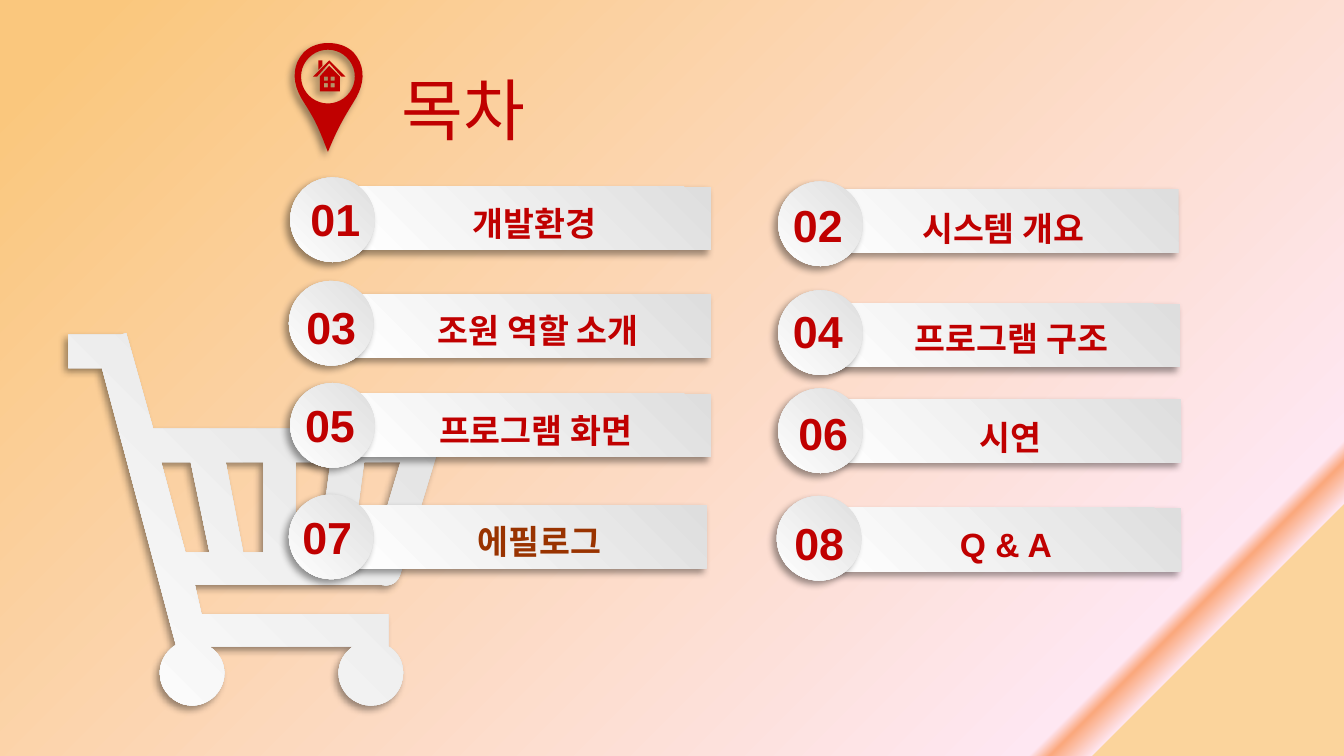
from lxml.etree import SubElement
from pptx import Presentation
from pptx.dml.color import RGBColor
from pptx.enum.shapes import MSO_SHAPE
from pptx.enum.text import MSO_ANCHOR, MSO_AUTO_SIZE, PP_ALIGN
from pptx.oxml.ns import qn
from pptx.util import Inches, Pt

THEME = {
    "red": "C00000", "brown": "993300", "shadow": "000000",
    "silver": ("DEDEDE", "FFFFFF"),
    "backdrop": [(5, "FAC77D"), (85, "FEE7F2"), (86, "FBA97D"), (88, "FEE7F2"), (88, "FBD49C")],
    "font": "Arial", "title": 36, "number": 24, "label": 18,
}
CURVE_STEPS = 10

# Contours: a pair is a corner, six values are a Bezier curve
CART = [
    [(1.42, 3.44), (1.56, 4.11), (1.38, 4.11), (1.2, 3.44)],
    [(1.96, 3.44), (1.96, 4.11), (1.81, 4.11), (1.68, 3.44)],
    [(2.46, 3.44), (2.37, 4.11), (2.2, 4.11), (2.2, 3.44)],
    [(2.98, 3.44), (2.78, 4.11), (2.62, 4.11), (2.71, 3.44)],
    [(0.94, 2.48), (0.9, 2.49), (0.51, 2.49), (0.51, 2.74), (0.76, 2.74), (1.31, 4.8),
     (1.24, 4.84, 1.19, 4.92, 1.19, 5.01), (1.19, 5.14, 1.3, 5.25, 1.43, 5.25),
     (1.56, 5.25, 1.67, 5.14, 1.67, 5.01), (1.67, 4.93, 1.63, 4.86, 1.57, 4.82),
     (1.57, 4.81), (2.63, 4.81),
     (2.57, 4.85, 2.52, 4.92, 2.52, 5.01), (2.52, 5.14, 2.63, 5.25, 2.76, 5.25),
     (2.9, 5.25, 3, 5.14, 3, 5.01), (3, 4.92, 2.96, 4.85, 2.89, 4.81),
     (2.89, 4.57), (1.5, 4.57), (1.45, 4.35), (2.83, 4.35),
     (2.9, 4.37, 2.96, 4.34, 2.98, 4.27), (3.26, 3.35),
     (3.28, 3.28, 3.25, 3.22, 3.18, 3.2), (3.16, 3.19, 3.15, 3.19, 3.14, 3.19), (1.14, 3.19)],
]
PIN = [
    [(2.44, 0.37), (2.33, 0.37, 2.24, 0.46, 2.24, 0.57), (2.24, 0.68, 2.33, 0.77, 2.44, 0.77),
     (2.55, 0.77, 2.64, 0.68, 2.64, 0.57), (2.64, 0.46, 2.55, 0.37, 2.44, 0.37)],
    [(2.44, 0.32), (2.51, 0.32, 2.58, 0.34, 2.63, 0.39), (2.73, 0.5, 2.71, 0.64, 2.63, 0.76),
     (2.55, 0.89, 2.51, 0.96, 2.44, 1.13), (2.37, 0.95, 2.35, 0.9, 2.26, 0.76),
     (2.18, 0.64, 2.16, 0.5, 2.26, 0.39), (2.31, 0.34, 2.38, 0.32, 2.44, 0.32)],
]
WINDOWS = [[(x + 0.03, y), (x + 0.03, y + 0.03), (x, y + 0.03), (x, y)]
           for y in (0.57, 0.62) for x in (2.41, 2.46)]
HOUSE = WINDOWS + [
    [(2.45, 0.49), (2.53, 0.57), (2.53, 0.68), (2.38, 0.68), (2.38, 0.57)],
    [(2.37, 0.45), (2.4, 0.45), (2.4, 0.49), (2.37, 0.52)],
    [(2.45, 0.45), (2.57, 0.57), (2.54, 0.57), (2.45, 0.47)],
    [(2.45, 0.45), (2.45, 0.47), (2.36, 0.57), (2.33, 0.57)],
]

# Label, colour, then the corners of bar, disc, number and label
ENTRIES = [
    ("개발환경", "red", (2.61, 1.39), (2.16, 1.32), (2.19, 1.38), (2.72, 1.46)),
    ("시스템 개요", "red", (6.09, 1.41), (5.79, 1.35), (5.78, 1.42), (6.21, 1.5)),
    ("조원 역할 소개", "red", (2.61, 2.19), (2.15, 2.09), (2.16, 2.18), (2.75, 2.26)),
    ("프로그램 구조", "red", (6.1, 2.26), (5.79, 2.16), (5.78, 2.21), (6.27, 2.32)),
    ("프로그램 화면", "red", (2.61, 2.93), (2.16, 2.85), (2.15, 2.91), (2.73, 3)),
    ("시연", "red", (6.11, 2.97), (5.79, 2.89), (5.82, 2.97), (6.26, 3.05)),
    ("에필로그", "brown", (2.58, 3.76), (2.15, 3.68), (2.13, 3.74), (2.76, 3.83)),
    ("Q & A", "red", (6.11, 3.78), (5.78, 3.69), (5.79, 3.79), (6.23, 3.85)),
]

# Widescreen page
deck = Presentation()
deck.slide_width, deck.slide_height = Inches(10), Inches(10 * 9 / 16)
page = deck.slides.add_slide(deck.slide_layouts[5])


def finish(shape, silver=True):
    """Fill a shape in silver or red, without a line, and give it a soft shadow."""
    if silver:
        shape.fill.gradient()
        shape.fill.gradient_angle = 225
        for stop, colour in zip(shape.fill.gradient_stops, THEME["silver"]):
            stop.color.rgb = RGBColor.from_string(colour)
    else:
        shape.fill.solid()
        shape.fill.fore_color.rgb = RGBColor.from_string(THEME["red"])
    shape.line.fill.background()
    shape.shadow.inherit = False
    effects = shape.element.spPr.find(qn("a:effectLst"))
    outer = SubElement(effects, qn("a:outerShdw"), blurRad=str(Pt(4)), dist=str(Pt(3)),
                       dir=str(135 * 60000), algn="tr", rotWithShape="0")
    colour = SubElement(outer, qn("a:srgbClr"), val=THEME["shadow"])
    SubElement(colour, qn("a:alpha"), val="40000")


def draw_outline(contours):
    """Build one freeform, with curves as short straight steps."""
    builder = None
    for start, *parts in contours:
        points, here = [], start
        for part in parts:
            if len(part) == 2:
                points.append(part)
            else:
                corners = (here, part[:2], part[2:4], part[4:])
                for step in range(1, CURVE_STEPS + 1):
                    t = step / CURVE_STEPS
                    weights = ((1 - t) ** 3, 3 * t * (1 - t) ** 2, 3 * t * t * (1 - t), t ** 3)
                    points.append(tuple(sum(w * c[axis] for w, c in zip(weights, corners))
                                        for axis in (0, 1)))
            here = part[-2:]
        origin = [Inches(value) for value in start]
        if builder is None:
            builder = page.shapes.build_freeform(*origin)
        else:
            builder.move_to(*origin)
        builder.add_line_segments([(Inches(x), Inches(y)) for x, y in points], close=True)
    return builder.convert_to_shape()


# Background
backdrop = page.background.fill
backdrop.gradient()
backdrop.gradient_angle = 315
stops = page.element.find(".//" + qn("a:gsLst"))
for stop in list(stops):
    stops.remove(stop)
for position, colour in THEME["backdrop"]:
    stop = SubElement(stops, qn("a:gs"), pos=str(position * 1000))
    SubElement(stop, qn("a:srgbClr"), val=colour)

# Shopping cart
finish(draw_outline(CART))

# Bars and discs
texts = []
for index, (label, colour, bar_at, disc_at, number_at, label_at) in enumerate(ENTRIES, 1):
    for kind, corner, size in ((MSO_SHAPE.RECTANGLE, bar_at, (2.68, 0.47)),
                               (MSO_SHAPE.OVAL, disc_at, (0.63, 0.63))):
        finish(page.shapes.add_shape(kind, *[Inches(value) for value in corner + size]))
    texts.append((f"{index:02}", "number", "red", number_at + (0.61, 0.5)))
    texts.append((label, "label", colour, label_at + (2.51, 0.4)))

# Numbers, labels and title
texts.append(("목차", "title", "red", (2.89, 0.51, 6.46, 0.59)))
for words, role, colour, place in texts:
    is_title = role == "title"
    left, top, width, height = [Inches(value) for value in place]
    box = page.shapes.title if is_title else page.shapes.add_textbox(left, top, width, height)
    for name, value in {"left": left, "top": top, "width": width, "height": height}.items():
        setattr(box, name, value)
    frame = box.text_frame
    frame_format = {
        "word_wrap": True,
        "auto_size": MSO_AUTO_SIZE.NONE if is_title else MSO_AUTO_SIZE.SHAPE_TO_FIT_TEXT,
        "vertical_anchor": MSO_ANCHOR.MIDDLE if is_title else MSO_ANCHOR.TOP,
    }
    for name, value in frame_format.items():
        setattr(frame, name, value)
    para = frame.paragraphs[0]
    para.alignment = PP_ALIGN.LEFT if is_title else PP_ALIGN.CENTER
    span = para.add_run()
    span.text = words
    span.font.color.rgb = RGBColor.from_string(THEME[colour])
    for name, value in {"name": THEME["font"], "size": Pt(THEME[role]), "bold": not is_title}.items():
        setattr(span.font, name, value)

# Map pin with a house
for contours in (PIN, HOUSE):
    finish(draw_outline(contours), silver=False)

deck.save("out.pptx")
